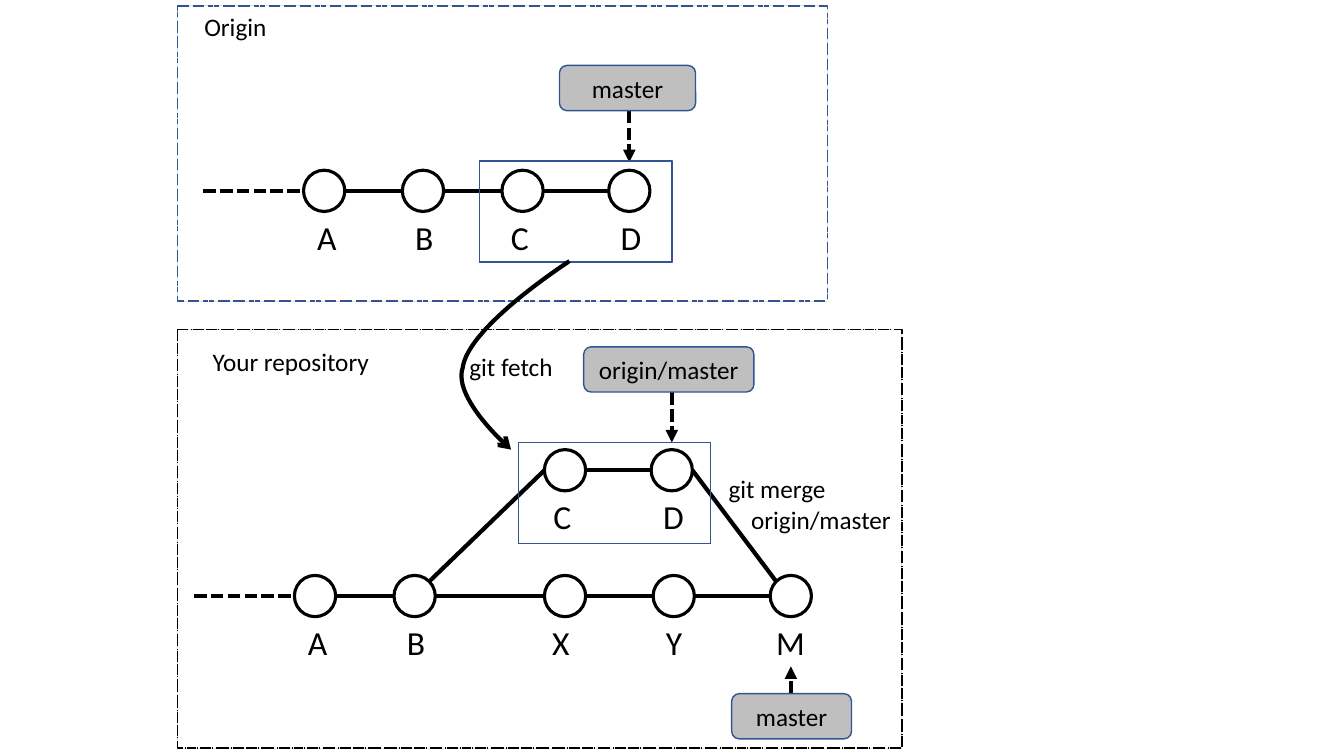
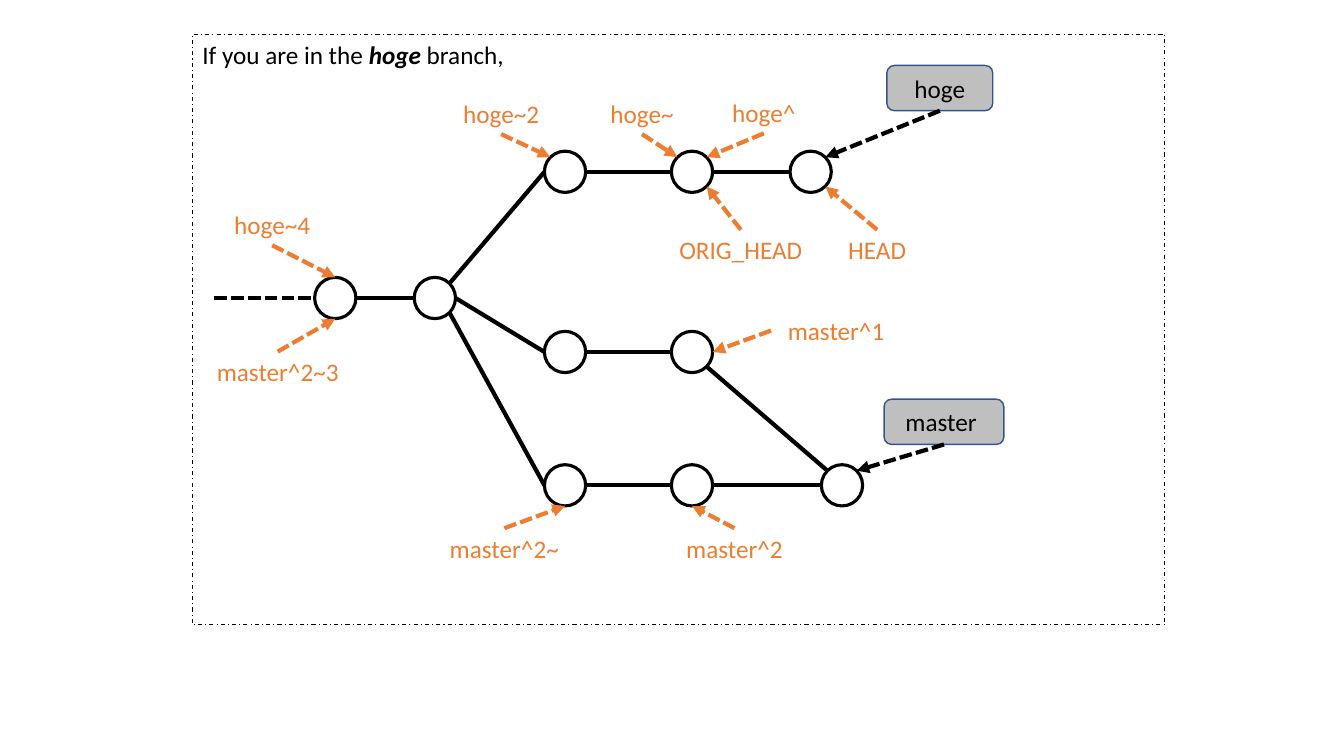
from dataclasses import dataclass
from itertools import pairwise

from lxml.etree import SubElement
from pptx import Presentation
from pptx.dml.color import RGBColor
from pptx.enum.dml import MSO_LINE as Dash
from pptx.enum.shapes import MSO_CONNECTOR as Link, MSO_SHAPE as Preset
from pptx.enum.text import MSO_ANCHOR as Anchor, MSO_AUTO_SIZE as Fit, PP_ALIGN as Align
from pptx.oxml.ns import qn
from pptx.util import Cm, Pt


@dataclass(frozen=True)
class Theme:
    font: str = "Calibri"
    ink: str = "000000"
    paper: str = "FFFFFF"
    blue: str = "325491"
    grey: str = "BFBFBF"
    orange: str = "ED7D31"
    text: int = 18
    letter: int = 24
    edge: float = 3
    rim: float = 2.25
    thin: float = 1
    hairline: float = 0.75


THEME = Theme()

# Lengths in centimetres
RADIUS = 0.52
LEAD_IN = 2.53
TEXT_HEIGHT = 1.02
TAG_HEIGHT = 1.14
LETTER_HEIGHT = 1.27
# Width and sideways shift of the letter below a commit
LETTERS = {"A": (1.02, 0.08), "B": (0.97, 0.04), "C": (0.97, -0.06), "D": (1.04, 0.05),
           "X": (0.97, -0.09), "Y": (0.94, 0.02), "M": (1.24, 0)}
DIAGONAL = 0.71
COMPASS = {"n": (0, -1), "s": (0, 1), "e": (1, 0), "w": (-1, 0),
           "ne": (DIAGONAL, -DIAGONAL), "nw": (-DIAGONAL, -DIAGONAL),
           "se": (DIAGONAL, DIAGONAL), "sw": (-DIAGONAL, DIAGONAL)}


# Formatting helpers
def color(value):
    return RGBColor.from_string(value)


def lengths(*values):
    return [Cm(value) for value in values]


def set_values(target, values):
    for name, value in values.items():
        setattr(target, name, value)


def paint(shape, fill, outline, width, dash=None):
    shape.shadow.inherit = False
    if fill:
        shape.fill.solid()
        shape.fill.fore_color.rgb = color(fill)
    else:
        shape.fill.background()
    stroke(shape.line, outline, width, dash)


def stroke(line, tint, width, dash=None, arrow=None):
    line.color.rgb = color(tint)
    set_values(line, {"width": Pt(width), "dash_style": dash})
    if arrow:
        SubElement(line._get_or_add_ln(), qn("a:tailEnd"), type=arrow)


def write(para, text, size=THEME.text, tint=THEME.ink, **style):
    span = para.add_run()
    span.text = text
    set_values(span.font, {"name": THEME.font, "size": Pt(size), **style})
    span.font.color.rgb = color(tint)


# Elements
def add_text(page, place, lines, size=THEME.text, tint=THEME.ink, align=Align.LEFT,
             wrap=False, indents=()):
    box = page.shapes.add_textbox(*lengths(*place))
    frame = box.text_frame
    set_values(frame, {"word_wrap": wrap, "auto_size": Fit.SHAPE_TO_FIT_TEXT})
    for index, text in enumerate(lines):
        para = frame.add_paragraph() if index else frame.paragraphs[0]
        para.alignment = align
        if index < len(indents):
            para._p.get_or_add_pPr().set("marL", str(Cm(indents[index])))
        write(para, text, size, tint)


def add_panel(page, place, outline, dash=None):
    panel = page.shapes.add_shape(Preset.FRAME, *lengths(*place))
    panel.adjustments[0] = 0
    paint(panel, THEME.ink, outline, THEME.thin, dash)


def add_tag(page, left, top, width, text):
    tag = page.shapes.add_shape(Preset.ROUNDED_RECTANGLE,
                                *lengths(left, top, width, TAG_HEIGHT))
    paint(tag, THEME.grey, THEME.blue, THEME.thin)
    tag.text_frame.vertical_anchor = Anchor.MIDDLE
    para = tag.text_frame.paragraphs[0]
    para.alignment = Align.CENTER
    write(para, text)
    return left + width / 2, top + TAG_HEIGHT


def add_commit(page, center, letter=None):
    x, y = center
    commit = page.shapes.add_shape(
        Preset.OVAL, *lengths(x - RADIUS, y - RADIUS, 2 * RADIUS, 2 * RADIUS))
    paint(commit, THEME.paper, THEME.ink, THEME.rim)
    if letter:
        width, shift = LETTERS[letter]
        place = (x + shift - width / 2, y + RADIUS, width, LETTER_HEIGHT)
        add_text(page, place, [letter], THEME.letter)


def add_line(page, start, end, tint=THEME.ink, dash=None, arrow=None):
    line = page.shapes.add_connector(Link.STRAIGHT, *lengths(*start, *end))
    stroke(line.line, tint, THEME.edge, dash, arrow)
    SubElement(line._element.spPr, qn("a:effectLst"))


def add_arrow(page, start, end, tint=THEME.ink):
    add_line(page, start, end, tint, Dash.SQUARE_DOT, "triangle")


def rim_point(center, side):
    across, down = COMPASS[side]
    return center[0] + RADIUS * across, center[1] + RADIUS * down


def add_edge(page, parent, child, leave="e", enter="w"):
    add_line(page, rim_point(parent, leave), rim_point(child, enter))


def add_chain(page, commits):
    for parent, child in pairwise(commits):
        add_edge(page, parent, child)


def add_lead_in(page, first):
    x, y = rim_point(first, "w")
    add_line(page, (x - LEAD_IN, y), (x, y), dash=Dash.SQUARE_DOT)


def add_reference(page, text, left, top, width, leave, commit, enter):
    add_text(page, (left, top, width, TEXT_HEIGHT), [text], tint=THEME.orange,
             align=Align.CENTER, wrap=True)
    across, down = COMPASS[leave]
    start = (left + width * (1 + across) / 2, top + TEXT_HEIGHT * (1 + down) / 2)
    add_arrow(page, start, rim_point(commit, enter), THEME.orange)


def bezier(points, steps=24):
    for step in range(1, steps + 1):
        t = step / steps
        weights = ((1 - t) ** 3, 3 * t * (1 - t) ** 2, 3 * t * t * (1 - t), t ** 3)
        yield tuple(sum(weight * point[axis] for weight, point in zip(weights, points))
                    for axis in (0, 1))


def add_curve(page, start, *curves):
    points = []
    origin = start
    for controls in curves:
        points += bezier((origin, *controls))
        origin = controls[-1]
    builder = page.shapes.build_freeform(*lengths(*start))
    builder.add_line_segments([lengths(*point) for point in points], close=False)
    curve = builder.convert_to_shape()
    paint(curve, None, THEME.ink, THEME.edge)
    stroke(curve.line, THEME.ink, THEME.edge, arrow="arrow")


# Slides
def build_fetch_and_merge(page):
    origin = {letter: (x, 4.81) for letter, x in
              zip("ABCD", (8.17, 10.66, 13.17, 15.86))}
    local = {letter: (x, 15.02) for letter, x in
             zip("ABXYM", (7.94, 10.45, 14.24, 16.98, 19.93))}
    fetched = {"C": (14.24, 11.85), "D": (16.93, 11.85)}

    # Repositories and commits
    add_panel(page, (4.47, 0.15, 16.38, 7.44), THEME.blue, Dash.DASH_DOT)
    add_panel(page, (4.47, 8.31, 18.26, 10.54), THEME.ink, Dash.DASH_DOT)
    add_text(page, (4.9, 0.15, 2.08, TEXT_HEIGHT), ["Origin"])
    add_text(page, (5.11, 8.61, 4.5, TEXT_HEIGHT), ["Your repository"])
    for commits in (origin, local, fetched):
        add_chain(page, commits.values())
        for letter, center in commits.items():
            add_commit(page, center, letter)
    for commits in (origin, local):
        add_lead_in(page, commits["A"])
    add_edge(page, local["B"], fetched["C"], "ne", "w")
    add_edge(page, fetched["D"], local["M"], "e", "nw")

    # Branch tags
    for left, top, width, text, x, start, end in (
            (14.1, 1.65, 3.43, "master", origin["D"][0], 2.79, 4.09),
            (14.71, 8.74, 4.29, "origin/master", fetched["D"][0], 9.88, 11.15),
            (18.44, 17.48, 3.02, "master", local["M"][0], 17.48, 16.79)):
        add_arrow(page, (x, start), (x, end))
        add_tag(page, left, top, width, text)

    # Fetch and merge
    for left, top in ((12.09, 4.06), (13.06, 11.15)):
        add_panel(page, (left, top, 4.85, 2.54), THEME.blue)
    add_curve(page, (14.35, 6.58),
              ((13.03, 7.47), (11.76, 8.53), (11.66, 9.27)),
              ((11.4, 10.06), (12.88, 11.33), (12.88, 11.33)))
    add_text(page, (11.58, 8.74, 2.64, TEXT_HEIGHT), ["git fetch"])
    add_text(page, (18.11, 11.81, 4.65, 1.8), ["git merge", "origin/master"],
             indents=(0, 0.57))


def build_references(page):
    trunk = [(x, 7.51) for x in (8.45, 10.96)]
    hoge = [(x, 4.33) for x in (14.24, 17.44, 20.43)]
    middle = [(x, 8.87) for x in (14.24, 17.44)]
    master = [(x, 12.23) for x in (14.24, 17.44, 21.22)]

    # Heading panel
    panel = page.shapes.add_shape(Preset.RECTANGLE, *lengths(4.85, 0.86, 24.51, 14.88))
    paint(panel, None, THEME.ink, THEME.hairline, Dash.DASH_DOT)
    panel.text_frame.vertical_anchor = Anchor.TOP
    para = panel.text_frame.paragraphs[0]
    para.alignment = Align.LEFT
    write(para, "If you are in the ")
    write(para, "hoge", bold=True, italic=True)
    write(para, " branch,")

    # Commits
    for commits in (trunk, hoge, middle, master):
        add_chain(page, commits)
        for center in commits:
            add_commit(page, center)
    add_lead_in(page, trunk[0])
    for branch, leave in ((hoge, "ne"), (middle, "e"), (master, "se")):
        add_edge(page, trunk[-1], branch[0], leave)
    add_edge(page, middle[-1], master[-1], "se", "nw")

    # Branch tags
    for left, top, width, text, branch in ((22.35, 1.65, 2.67, "hoge", hoge),
                                           (22.28, 10.06, 3.02, "master ", master)):
        foot = add_tag(page, left, top, width, text)
        add_arrow(page, foot, rim_point(branch[-1], "ne"))

    # Names that lead to a commit
    for reference in (
            ("HEAD", 20.85, 5.79, 2.51, "n", hoge[2], "se"),
            ("ORIG_HEAD", 16.84, 5.79, 3.66, "n", hoge[1], "se"),
            ("hoge^", 17.42, 2.34, 3.66, "s", hoge[1], "ne"),
            ("hoge~2", 10.8, 2.36, 3.66, "s", hoge[0], "nw"),
            ("hoge~", 14.35, 2.36, 3.66, "s", hoge[1], "nw"),
            ("master^1", 19.43, 7.82, 3.28, "w", middle[1], "e"),
            ("master^2", 16.87, 13.31, 3.28, "n", master[1], "s"),
            ("master^2~", 11.07, 13.31, 3.28, "n", master[0], "s"),
            ("master^2~3", 5.03, 8.86, 3.94, "n", trunk[0], "s"),
            ("hoge~4", 5.03, 5.16, 3.66, "s", trunk[0], "n")):
        add_reference(page, *reference)


def main():
    deck = Presentation()
    set_values(deck, {"slide_width": Cm(33.87), "slide_height": Cm(19.05)})
    for build in (build_fetch_and_merge, build_references):
        build(deck.slides.add_slide(deck.slide_layouts[6]))
    deck.save("out.pptx")


main()
